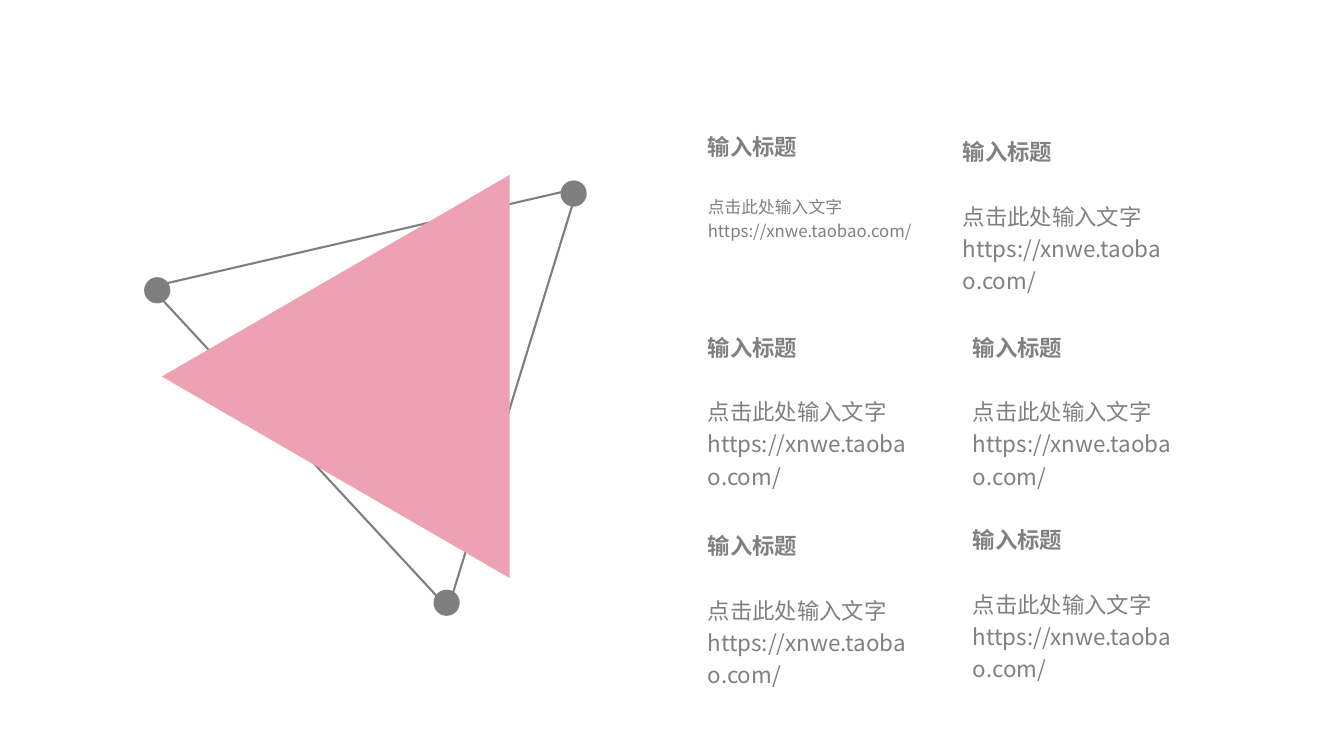
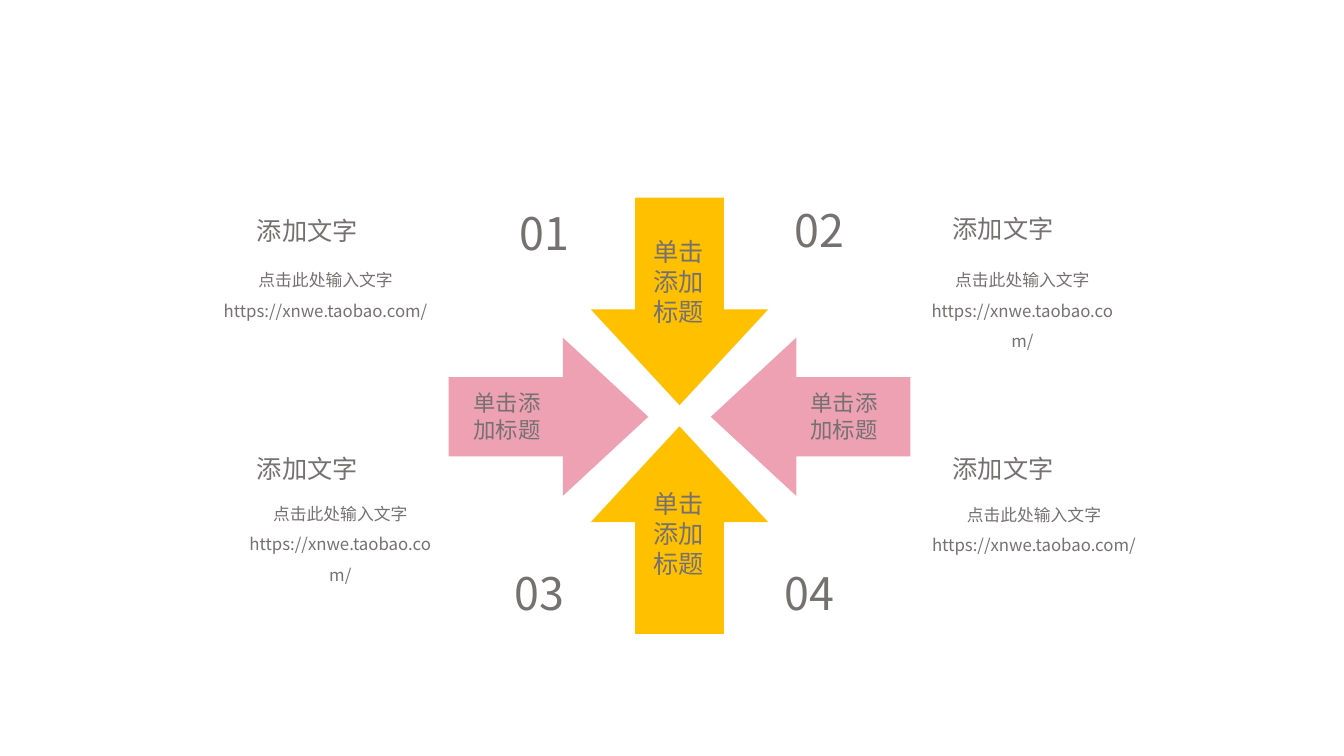
from dataclasses import dataclass

from lxml.etree import SubElement
from pptx import Presentation
from pptx.dml.color import RGBColor
from pptx.enum.shapes import MSO_SHAPE as Shape
from pptx.enum.text import PP_ALIGN as Align
from pptx.oxml.ns import qn
from pptx.util import Inches, Pt


@dataclass(frozen=True)
class Theme:
    pink: str = "EDA1B3"
    gold: str = "FFC000"
    line: str = "7F7F7F"
    topic: str = "808080"
    label: str = "767171"
    font: str = "Noto Sans CJK SC"
    latin: str = "Arial"
    small: int = 12
    medium: int = 16
    large: int = 18
    number: int = 32
    topic_gap: int = 23
    outline: float = 1.5


THEME = Theme()
PROMPT = "点击此处输入文字 https://xnwe.taobao.com/"


def write(paragraph, text, *, size, color, font=THEME.font, bold=False,
          align=Align.LEFT, spacing=1.0, before=0):
    paragraph.alignment = align
    paragraph.line_spacing = spacing
    if before:
        paragraph.space_before = Pt(before)
    run = paragraph.add_run()
    run.text = text
    run.font.size = Pt(size)
    run.font.bold = bold
    run.font.color.rgb = RGBColor.from_string(color)
    run.font.name = font
    east_asian = SubElement(run.font._element, qn("a:ea"))
    east_asian.set("typeface", THEME.font)


class Deck:
    def __init__(self):
        self.deck = Presentation()
        self.deck.slide_width = Inches(13.33)
        self.deck.slide_height = Inches(7.5)
        self.slide = None

    def new_slide(self):
        self.slide = self.deck.slides.add_slide(self.deck.slide_layouts[6])

    def shape(self, kind, left, top, width, height, *, fill=None, line=None,
              rotation=0, adjust=()):
        figure = self.slide.shapes.add_shape(
            kind, Inches(left), Inches(top), Inches(width), Inches(height))
        figure.shadow.inherit = False
        figure.rotation = rotation
        for index, value in enumerate(adjust):
            figure.adjustments[index] = value
        if fill:
            figure.fill.solid()
            figure.fill.fore_color.rgb = RGBColor.from_string(fill)
        else:
            figure.fill.background()
        if line:
            figure.line.color.rgb = RGBColor.from_string(line)
            figure.line.width = Pt(THEME.outline)
        else:
            figure.line.fill.background()

    def frame(self, left, top, width, height, inset=True):
        box = self.slide.shapes.add_textbox(
            Inches(left), Inches(top), Inches(width), Inches(height))
        frame = box.text_frame
        frame.word_wrap = True
        if not inset:
            frame.margin_left = frame.margin_right = 0
            frame.margin_top = frame.margin_bottom = 0
        return frame

    def text(self, left, top, width, height, *lines, **style):
        frame = self.frame(left, top, width, height)
        for index, line in enumerate(lines):
            paragraph = frame.add_paragraph() if index else frame.paragraphs[0]
            write(paragraph, line, color=THEME.label, **style)

    def topic(self, left, top, height, body_size):
        frame = self.frame(left, top, 2.09, height, inset=False)
        write(frame.paragraphs[0], "输入标题", size=THEME.medium,
              color=THEME.topic, bold=True, spacing=1.2)
        write(frame.add_paragraph(), PROMPT, size=body_size,
              color=THEME.topic, spacing=1.2, before=THEME.topic_gap)

    def save(self):
        self.deck.save("out.pptx")


def triangle_slide(deck):
    deck.new_slide()
    deck.shape(Shape.ISOSCELES_TRIANGLE, 1.11, 1.52, 4.36, 3.76,
               line=THEME.line, rotation=287.1)
    deck.shape(Shape.ISOSCELES_TRIANGLE, 1.33, 2.01, 4, 3.45,
               fill=THEME.pink, rotation=270)
    for left, top in ((1.43, 2.75), (4.3, 5.85), (5.56, 1.79)):
        deck.shape(Shape.OVAL, left, top, 0.26, 0.26, fill=THEME.line)

    deck.topic(7.02, 1.27, 1.37, THEME.small)
    for left, top in ((7.02, 3.26), (7.02, 5.23),
                      (9.55, 1.32), (9.65, 3.26), (9.65, 5.17)):
        deck.topic(left, top, 1.85, THEME.medium)


def arrows_slide(deck):
    deck.new_slide()
    for kind, top, label_top in ((Shape.DOWN_ARROW, 1.96, 2.29),
                                 (Shape.UP_ARROW, 4.23, 4.79)):
        deck.shape(kind, 5.86, top, 1.76, 2.06, fill=THEME.gold,
                   adjust=(0.5, 0.54))
        deck.text(6.38, label_top, 0.8, 1.01, "单击", "添加", "标题",
                  size=THEME.large, font=THEME.latin)

    for kind, left, label_left, font in (
            (Shape.RIGHT_ARROW, 4.45, 4.53, THEME.latin),
            (Shape.LEFT_ARROW, 7.05, 7.87, THEME.font)):
        deck.shape(kind, left, 3.35, 1.98, 1.57, fill=THEME.pink,
                   adjust=(0.5, 0.54))
        deck.text(label_left, 3.81, 1, 0.64, "单击添加标题",
                  size=THEME.medium, font=font, align=Align.CENTER)

    for number, left, top in (("01", 5.02, 1.99), ("02", 7.75, 1.96),
                              ("03", 4.97, 5.56), ("04", 7.65, 5.56)):
        deck.text(left, top, 0.76, 0.64, number,
                  size=THEME.number, align=Align.CENTER)

    for left, top in ((2.45, 2.09), (9.35, 2.07), (2.45, 4.45), (9.35, 4.45)):
        deck.text(left, top, 1.58, 0.4, "添加文字", size=THEME.large)

    for left, top, width, height in ((2.03, 2.53, 2.4, 0.71),
                                     (9.08, 2.53, 2.12, 1.01),
                                     (2.3, 4.85, 2.15, 1.01),
                                     (9.13, 4.86, 2.25, 0.71)):
        deck.text(left, top, width, height, PROMPT, size=THEME.small,
                  align=Align.CENTER, spacing=1.5)


def main():
    deck = Deck()
    triangle_slide(deck)
    arrows_slide(deck)
    deck.save()


if __name__ == "__main__":
    main()
